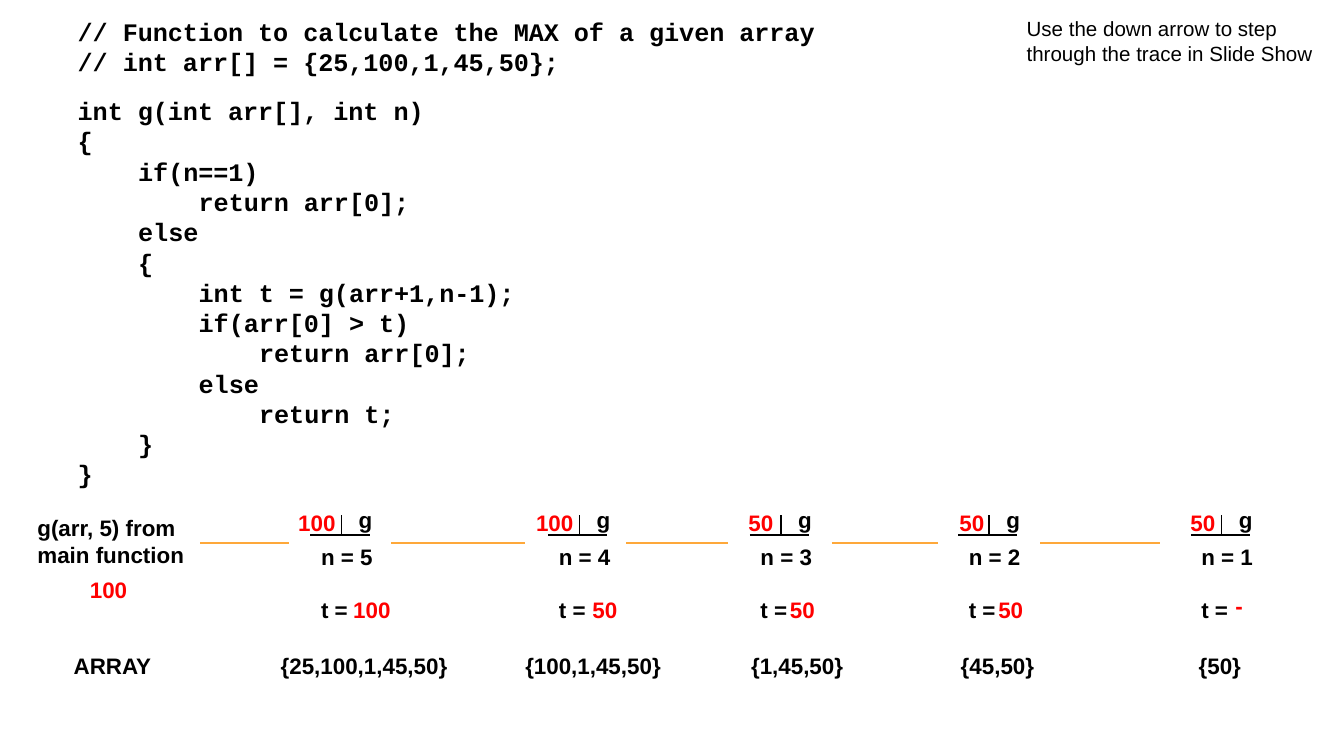
from dataclasses import dataclass

from lxml import etree
from pptx import Presentation
from pptx import util as u
from pptx.dml import color
from pptx.enum import shapes, text
from pptx.oxml import ns


@dataclass(frozen=True)
class Theme:
    ink: str = "000000"
    result: str = "FF0000"
    link: str = "FEA83A"
    sans: str = "Arial"
    mono: str = "Courier New"
    code_size: float = 13.5
    note_size: float = 11
    trace_size: float = 12
    line_width: float = 0.75
    leading: float = 1.2


THEME = Theme()
INDENT = 0.45  # four monospaced characters

HEADER = [
    (0, "// Function to calculate the MAX of a given array"),
    (0, "// int arr[] = {25,100,1,45,50};"),
]
FUNCTION = [
    (0, "int g(int arr[], int n)"),
    (0, "{"),
    (1, "if(n==1)"),
    (2, "return arr[0];"),
    (1, "else"),
    (1, "{"),
    (2, "int t = g(arr+1,n-1);"),
    (2, "if(arr[0] > t)"),
    (3, "return arr[0];"),
    (2, "else"),
    (3, "return t;"),
    (1, "}"),
    (0, "}"),
]

# frame left, n, returned value and its left, t with its left and top,
# array with its left and width, left and right of the incoming link
CALLS = [
    (2.31, 5, "100", 2.12, "100", 2.53, 4.45, "{25,100,1,45,50}", 1.99, 1.45, 1.49, 2.15),
    (4.08, 4, "100", 3.89, "50", 4.31, 4.45, "{100,1,45,50}", 3.81, 1.22, 2.91, 3.91),
    (5.58, 3, "50", 5.47, "50", 5.78, 4.45, "{1,45,50}", 5.49, 0.89, 4.66, 5.42),
    (7.13, 2, "50", 7.04, "50", 7.33, 4.45, "{45,50}", 7.05, 0.75, 6.19, 6.98),
    (8.86, 1, "50", 8.76, "-", 9.11, 4.42, "{50}", 8.82, 0.52, 7.74, 8.63),
]
VALUE_WIDTH = {1: 0.18, 2: 0.4, 3: 0.52}  # by number of characters


def add_text(slide, box, lines, size=THEME.trace_size, font=THEME.sans,
             ink=THEME.ink, bold=True, middle=False, wrap=True, gap=0):
    """Add a text box and return its frame; gap separates its paragraphs."""
    frame = slide.shapes.add_textbox(*map(u.Inches, box)).text_frame
    frame.word_wrap = wrap
    if middle:
        frame.vertical_anchor = text.MSO_ANCHOR.MIDDLE
    frame.text = "\n".join(lines)
    for index, paragraph in enumerate(frame.paragraphs):
        paragraph.font.size = u.Pt(size)
        paragraph.font.name = font
        paragraph.font.bold = bold
        paragraph.font.color.rgb = color.RGBColor.from_string(ink)
        if not middle:
            paragraph.line_spacing = u.Pt(size * THEME.leading)
        if index and gap:
            paragraph.space_before = u.Pt(gap)
    return frame


def add_code(slide, box, code, top_inset=0.05):
    frame = add_text(slide, box, [line for _, line in code],
                     THEME.code_size, THEME.mono)
    frame.margin_top = u.Inches(top_inset)
    for paragraph, (level, _) in zip(frame.paragraphs, code):
        if level:
            properties = paragraph._p.get_or_add_pPr()
            properties.set("marL", str(u.Inches(level * INDENT)))
            properties.set("indent", "0")


def add_line(parent, x1, y1, x2, y2, ink):
    line = parent.shapes.add_connector(
        shapes.MSO_CONNECTOR.STRAIGHT, *map(u.Inches, (x1, y1, x2, y2)))
    line.line.color.rgb = color.RGBColor.from_string(ink)
    line.line.width = u.Pt(THEME.line_width)
    etree.SubElement(line._element.spPr, ns.qn("a:effectLst"))


def add_value(slide, left, top, value):
    add_text(slide, (left, top, VALUE_WIDTH[len(value)], 0.17), [value],
             ink=THEME.result, middle=True)


def add_frame(slide, left, n):
    """Add the corner lines, function name and variables of one call."""
    corner = slide.shapes.add_group_shape()
    add_line(corner, left, 3.98, left + 0.44, 3.98, THEME.ink)
    add_line(corner, left + 0.23, 3.98, left + 0.23, 3.83, THEME.ink)
    add_text(slide, (left + 0.26, 3.78, 0.22, 0.17), ["g"], middle=True)
    add_text(slide, (left - 0.02, 3.99, 0.65, 0.71), [f"n = {n}", "t ="], gap=14)


def main():
    prs = Presentation()
    prs.slide_width = u.Inches(10)
    prs.slide_height = prs.slide_width * 9 // 16
    slide = prs.slides.add_slide(prs.slide_layouts[6])

    # Code and viewing hint
    add_code(slide, (0.48, 0.07, 5.85, 0.56), HEADER)
    add_text(slide, (7.54, 0.07, 2.36, 0.47),
             ["Use the down arrow to step through the trace in Slide Show"],
             THEME.note_size, bold=False)
    add_code(slide, (0.48, 0.44, 5.85, 3.29), FUNCTION, top_inset=0.27)

    # Caller and its result
    add_text(slide, (0.18, 3.78, 1.31, 0.5), ["g(arr, 5) from main function"])
    add_value(slide, 0.57, 4.3, "100")
    add_text(slide, (0.45, 4.8, 0.8, 0.3), ["ARRAY"], wrap=False)

    # Trace of the recursive calls
    for (left, n, returned, returned_left, t, t_left, t_top,
         array, array_left, array_width, link_left, link_right) in CALLS:
        add_frame(slide, left, n)
        add_line(slide, link_left, 4.04, link_right, 4.04, THEME.link)
        add_value(slide, t_left, t_top, t)
        add_value(slide, returned_left, 3.8, returned)
        add_text(slide, (array_left, 4.8, array_width, 0.3), [array], wrap=False)

    prs.save("out.pptx")


if __name__ == "__main__":
    main()
